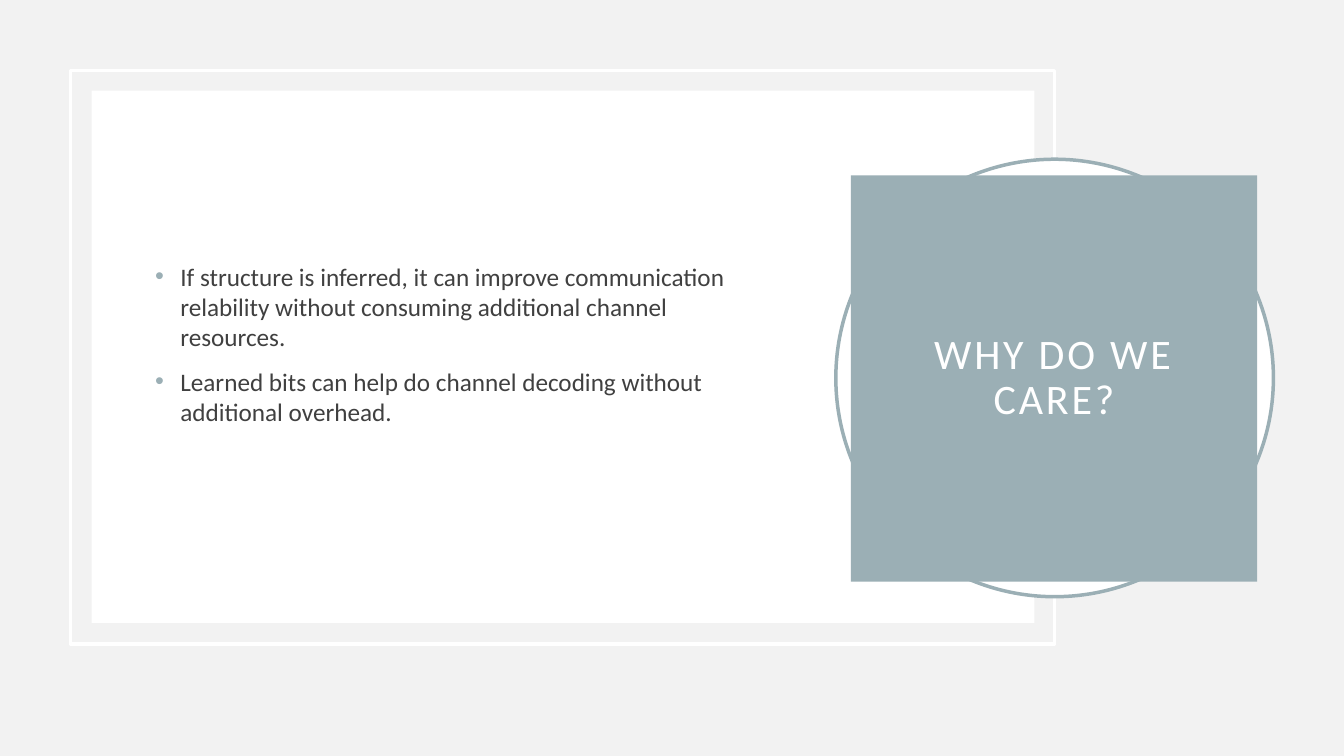
import pptx
import pptx.dml.color
import pptx.enum.shapes
import pptx.enum.text
import pptx.oxml
import pptx.oxml.ns
import pptx.util
from pptx.util import Inches

SHAPES = pptx.enum.shapes.MSO_SHAPE
ALIGN = pptx.enum.text.PP_ALIGN
ANCHOR = pptx.enum.text.MSO_ANCHOR


def color(value):
    return pptx.dml.color.RGBColor.from_string(value)


class SlideBuilder:
    """Holds the style and the current slide, and adds its elements."""

    font = "Calibri"
    accent = "9BAFB5"
    white = "FFFFFF"
    ink = "404040"
    backdrop = "F2F2F2"

    def __init__(self, slide):
        self.slide = slide
        slide.background.fill.solid()
        slide.background.fill.fore_color.rgb = color(self.backdrop)

    def shape(self, kind, left, top, width, height, fill=None, line=None):
        shape = self.slide.shapes.add_shape(
            kind, Inches(left), Inches(top), Inches(width), Inches(height))
        shape.shadow.inherit = False
        if fill:
            shape.fill.solid()
            shape.fill.fore_color.rgb = color(fill)
        else:
            shape.fill.background()
        if line:
            shape.line.color.rgb = color(line)
            shape.line.width = pptx.util.Pt(2.5)
        else:
            shape.line.fill.background()
        return shape

    def run(self, paragraph, text, size, ink):
        run = paragraph.add_run()
        run.text = text
        run.font.name = self.font
        run.font.size = pptx.util.Pt(size)
        run.font.color.rgb = color(ink)
        return run

    def title(self, shape, text):
        frame = shape.text_frame
        frame.word_wrap = True
        frame.vertical_anchor = ANCHOR.MIDDLE
        frame.margin_left = frame.margin_right = Inches(0.6)
        frame.margin_top = frame.margin_bottom = Inches(0.2)
        paragraph = frame.paragraphs[0]
        paragraph.alignment = ALIGN.CENTER
        paragraph.line_spacing = 0.9
        run = self.run(paragraph, text, 30, self.white)
        run.font._element.set("spc", "200")

    def bullets(self, left, top, width, height, items):
        box = self.slide.shapes.add_textbox(
            Inches(left), Inches(top), Inches(width), Inches(height))
        frame = box.text_frame
        frame.word_wrap = True
        frame.vertical_anchor = ANCHOR.MIDDLE
        for index, text in enumerate(items):
            paragraph = frame.add_paragraph() if index else frame.paragraphs[0]
            if index:
                paragraph.space_before = pptx.util.Pt(10)
            self.bullet(paragraph)
            self.run(paragraph, text, 18, self.ink)

    def bullet(self, paragraph):
        properties = paragraph._p.get_or_add_pPr()
        properties.set("marL", str(Inches(0.25)))
        properties.set("indent", str(Inches(-0.25)))
        namespace = pptx.oxml.ns.nsdecls("a")
        for xml in (
            f'<a:buClr {namespace}><a:srgbClr val="{self.accent}"/></a:buClr>',
            f'<a:buFont {namespace} typeface="Arial"/>',
            f'<a:buChar {namespace} char="•"/>',
        ):
            properties.append(pptx.oxml.parse_xml(xml))


def main():
    presentation = pptx.Presentation()
    presentation.slide_width = Inches(13.33)
    presentation.slide_height = Inches(7.5)
    slide = presentation.slides.add_slide(presentation.slide_layouts[6])
    builder = SlideBuilder(slide)

    builder.shape(SHAPES.RECTANGLE, 0.7, 0.7, 9.76, 5.69, line=builder.white)
    builder.shape(SHAPES.RECTANGLE, 0.91, 0.9, 9.35, 5.28, fill=builder.white)
    builder.bullets(1.44, 1.4, 6.25, 4.02, [
        "If structure is inferred, it can improve communication relability "
        "without consuming additional channel resources.",
        "Learned bits can help do channel decoding without additional overhead.",
    ])
    builder.shape(SHAPES.OVAL, 8.29, 1.58, 4.34, 4.34,
                  fill=builder.white, line=builder.accent)
    title_square = builder.shape(SHAPES.RECTANGLE, 8.44, 1.74, 4.03, 4.03,
                                 fill=builder.accent)
    builder.title(title_square, "WHY DO WE CARE?")

    presentation.save("out.pptx")


if __name__ == "__main__":
    main()
